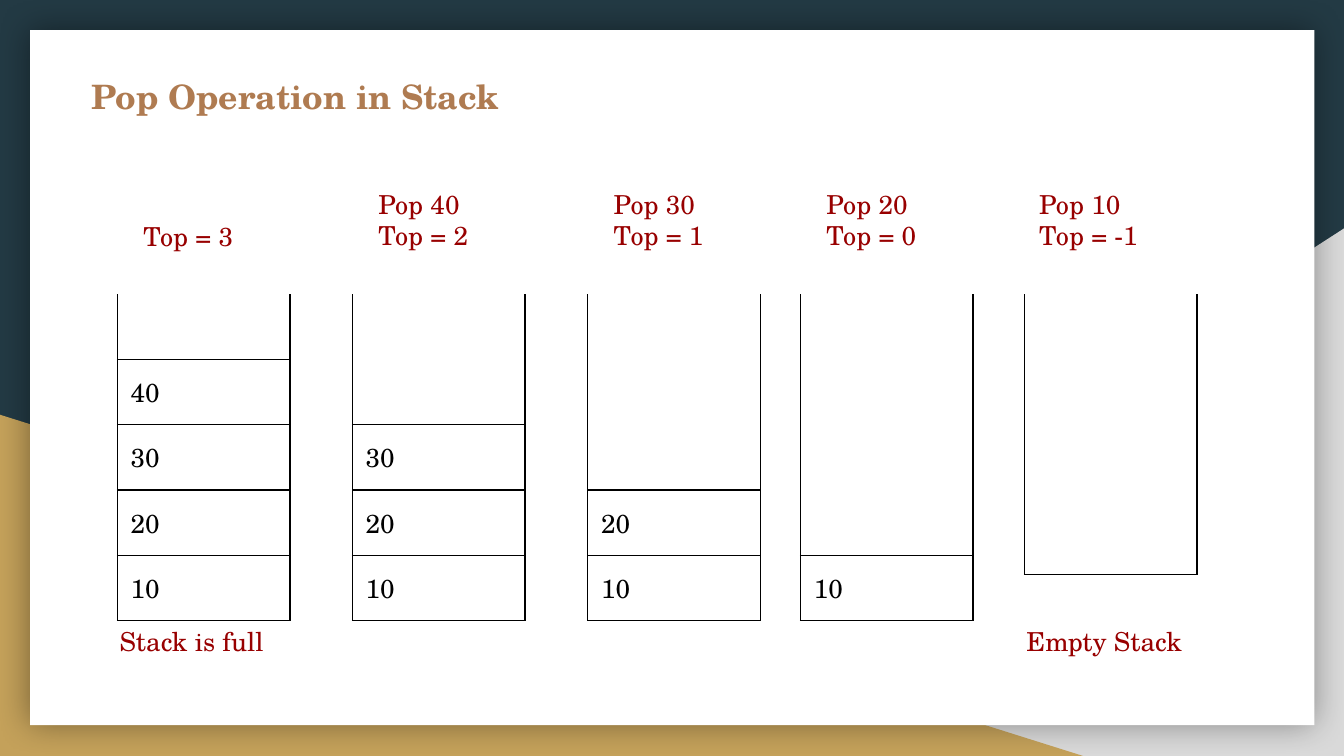
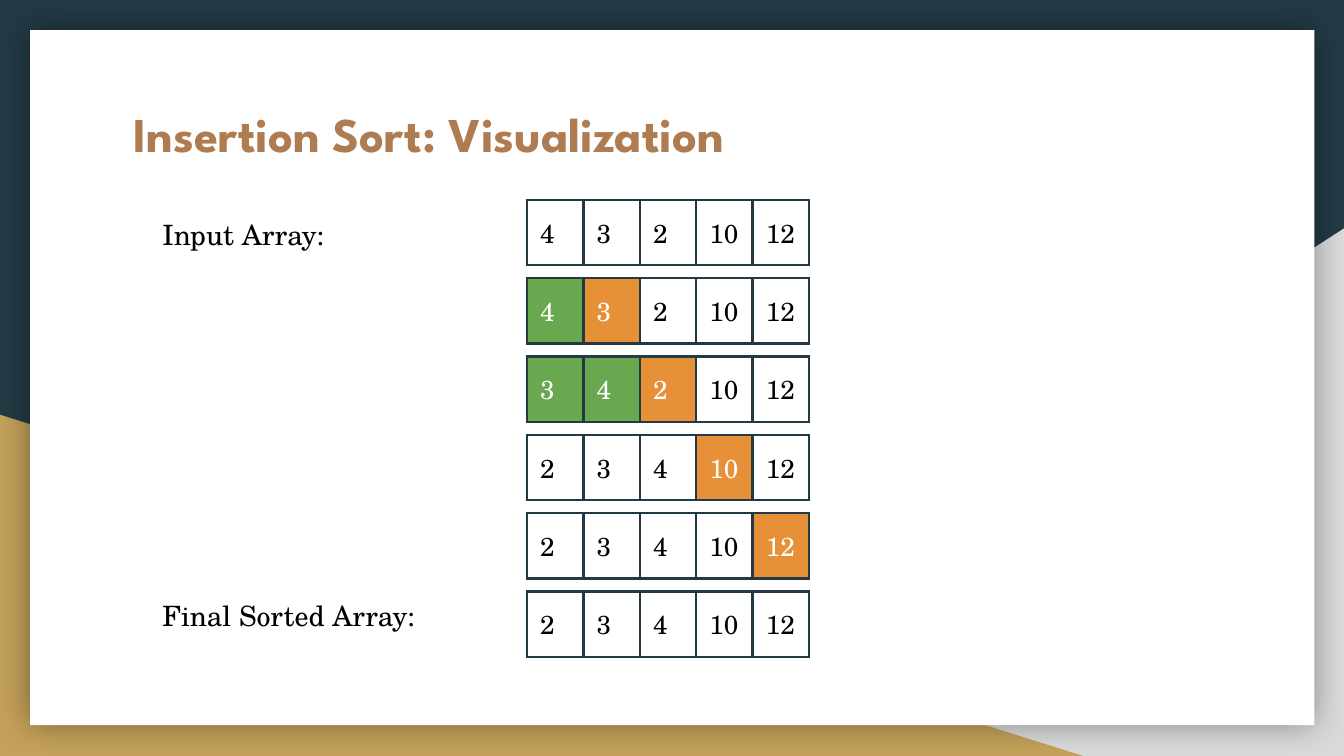
from lxml import etree
from pptx import Presentation
from pptx.dml.color import RGBColor
from pptx.enum.shapes import MSO_SHAPE
from pptx.enum.text import MSO_ANCHOR
from pptx.oxml.ns import qn
from pptx.util import Cm, Pt

TRIANGLE, RECTANGLE = MSO_SHAPE.RIGHT_TRIANGLE, MSO_SHAPE.RECTANGLE
TOP, MIDDLE = MSO_ANCHOR.TOP, MSO_ANCHOR.MIDDLE

NAVY = RGBColor(0x23, 0x3A, 0x44)
GREY = RGBColor(0xD9, 0xD9, 0xD9)
GOLD = RGBColor(0xC4, 0xA1, 0x5A)
WHITE = RGBColor(0xFF, 0xFF, 0xFF)
BLACK = RGBColor(0, 0, 0)
BROWN = RGBColor(0xAF, 0x7B, 0x51)
RED = RGBColor(0x98, 0, 0)
GREEN = RGBColor(0x6A, 0xA8, 0x4F)
ORANGE = RGBColor(0xE6, 0x91, 0x38)

SERIF, SANS = "TeX Gyre Schola", "League Spartan"
TITLE = {"size": Pt(18), "name": SERIF, "bold": True, "color": BROWN}
SORT_TITLE = TITLE | {"size": Pt(26), "name": SANS}
STATE = {"size": Pt(14), "name": SERIF, "color": RED}
VALUE = STATE | {"color": BLACK}
PICKED = STATE | {"color": WHITE}
ARRAY_LABEL = {"size": Pt(15), "name": SERIF, "color": BLACK}

STACKS = [
    (19.36, 0.03, ["Pop 10", "Top = -1"], [], "Empty Stack"),
    (2.22, 0.24, ["Top = 3"], [40, 30, 20, 10], "Stack is full"),
    (6.66, 0.24, ["Pop 40", "Top = 2"], [30, 20, 10], None),
    (11.11, 0.24, ["Pop 30", "Top = 1"], [20, 10], None),
    (15.13, 0.24, ["Pop 20", "Top = 0"], [10], None),
]
CAPACITY = 5
STACK_TOP, STACK_WIDTH = 5.56, 3.26
STATE_TOP, STATE_LINE = 3.31, 0.6

ARRAYS = [
    ([4, 3, 2, 10, 12], {}),
    ([4, 3, 2, 10, 12], {0: GREEN, 1: ORANGE}),
    ([3, 4, 2, 10, 12], {0: GREEN, 1: GREEN, 2: ORANGE}),
    ([2, 3, 4, 10, 12], {3: ORANGE}),
    ([2, 3, 4, 10, 12], {4: ORANGE}),
    ([2, 3, 4, 10, 12], {}),
]
ARRAY_LABELS = [(11.06, "Final Sorted Array:"), (3.86, "Input Array:")]
ARRAY_LEFT, ARRAY_TOP, ARRAY_STEP = 9.96, 3.78, 1.48
COLUMN = 5.33 / 5
ROW, EMPTY_ROW = 6.17 / CAPACITY, 1.06
GRID_FRAME = Cm(8.33)
INSET = Cm(0.25)


def style(font, look):
    for key, value in look.items():
        if key == "color":
            font.color.rgb = value
        else:
            setattr(font, key, value)


def set_insets(holder, vertical=INSET):
    for side in ("left", "right"):
        setattr(holder, f"margin_{side}", INSET)
    for side in ("top", "bottom"):
        setattr(holder, f"margin_{side}", vertical)


def add_text(page, place, lines, look):
    frame = page.shapes.add_textbox(*map(Cm, place)).text_frame
    frame.word_wrap = True
    frame.vertical_anchor = TOP
    set_insets(frame)
    for number, line in enumerate(lines):
        para = frame.add_paragraph() if number else frame.paragraphs[0]
        span = para.add_run()
        span.text = line
        style(span.font, look)
    return frame


def add_panel(page, kind, place, color):
    panel = page.shapes.add_shape(kind, *map(Cm, place))
    panel.shadow.inherit = False
    panel.fill.solid()
    panel.fill.fore_color.rgb = color
    panel.line.fill.background()
    return panel


def add_page(deck):
    page = deck.slides.add_slide(deck.slide_layouts[6])
    page.background.fill.solid()
    page.background.fill.fore_color.rgb = NAVY
    corner = add_panel(page, TRIANGLE, (9.96, 4.32, 15.44, 9.97), GREY)
    corner._element.spPr.find(qn("a:xfrm")).set("flipH", "1")
    add_panel(page, TRIANGLE, (0, 7.84, 20.47, 6.45), GOLD)
    sheet = add_panel(page, RECTANGLE, (0.57, 0.57, 24.27, 13.14), WHITE)
    effects = sheet._element.spPr.find(qn("a:effectLst"))
    shadow = etree.SubElement(effects, qn("a:outerShdw"), blurRad=str(Pt(18)),
                              dist="0", dir="0", algn="ctr", rotWithShape="0")
    tint = etree.SubElement(shadow, qn("a:srgbClr"), val="000000")
    etree.SubElement(tint, qn("a:alpha"), val="40000")
    return page


def add_grid(page, left, top, rows, columns, width, height):
    holder = page.shapes.add_table(rows, columns, Cm(left), Cm(top),
                                   GRID_FRAME, GRID_FRAME)
    table = holder.table
    table.first_row = table.horz_banding = False
    for column in table.columns:
        column.width = Cm(width)
    for row in table.rows:
        row.height = Cm(height)
    holder.width = holder.height = GRID_FRAME
    return table


def fill_cell(cell, text, look, edges, color, weight, fill=None):
    if fill is None:
        cell.fill.background()
    else:
        cell.fill.solid()
        cell.fill.fore_color.rgb = fill
    cell.vertical_anchor = MIDDLE
    set_insets(cell, INSET if text else 0)
    if text:
        span = cell.text_frame.paragraphs[0].add_run()
        span.text = text
        style(span.font, look)
    properties = cell._tc.get_or_add_tcPr()
    for position, edge in enumerate("LRTB"):
        line = etree.Element(qn(f"a:ln{edge}"), w=str(Pt(weight)))
        if edge in edges:
            paint = etree.SubElement(line, qn("a:solidFill"))
            etree.SubElement(paint, qn("a:srgbClr"), val=str(color))
        else:
            etree.SubElement(line, qn("a:noFill"))
        properties.insert(position, line)


def add_stack(page, left, shift, state, values, caption):
    height = ROW if values else EMPTY_ROW
    table = add_grid(page, left, STACK_TOP, CAPACITY, 1, STACK_WIDTH, height)
    free = CAPACITY - len(values)
    for level in range(CAPACITY):
        text = str(values[level - free]) if level >= free else ""
        edges = "LRTB" if text else "LRB" if level == free - 1 else "LR"
        fill_cell(table.cell(level, 0), text, VALUE, edges, BLACK, 0.75)
    top = STATE_TOP + STATE_LINE * (2 - len(state))
    add_text(page, (left + shift, top, 3.45, 0.66), state, STATE)
    if caption:
        add_text(page, (left - 0.21, 11.57, 4.32, 0.66), [caption], STATE)


def build_stack_page(deck):
    page = add_page(deck)
    title = add_text(page, (1.48, 1.07, 22.33, 1.3), ["Pop Operation in Stack"], TITLE)
    title.paragraphs[0].line_spacing = 1.15
    for stack in STACKS:
        add_stack(page, *stack)


def build_sort_page(deck):
    page = add_page(deck)
    add_text(page, (2.28, 1.71, 20.85, 0.71), ["Insertion Sort: Visualization"], SORT_TITLE)
    for step, (values, fills) in enumerate(ARRAYS):
        top = ARRAY_TOP + step * ARRAY_STEP
        table = add_grid(page, ARRAY_LEFT, top, 1, len(values), COLUMN, ROW)
        for index, value in enumerate(values):
            look = PICKED if index in fills else VALUE
            fill_cell(table.cell(0, index), str(value), look, "LRTB", NAVY, 1.5,
                      fills.get(index))
    for top, label in ARRAY_LABELS:
        add_text(page, (2.82, top, 5.84, 0.71), [label], ARRAY_LABEL)


def main():
    deck = Presentation()
    deck.slide_width, deck.slide_height = Cm(25.4), Cm(14.29)
    build_stack_page(deck)
    build_sort_page(deck)
    deck.save("out.pptx")


if __name__ == "__main__":
    main()
